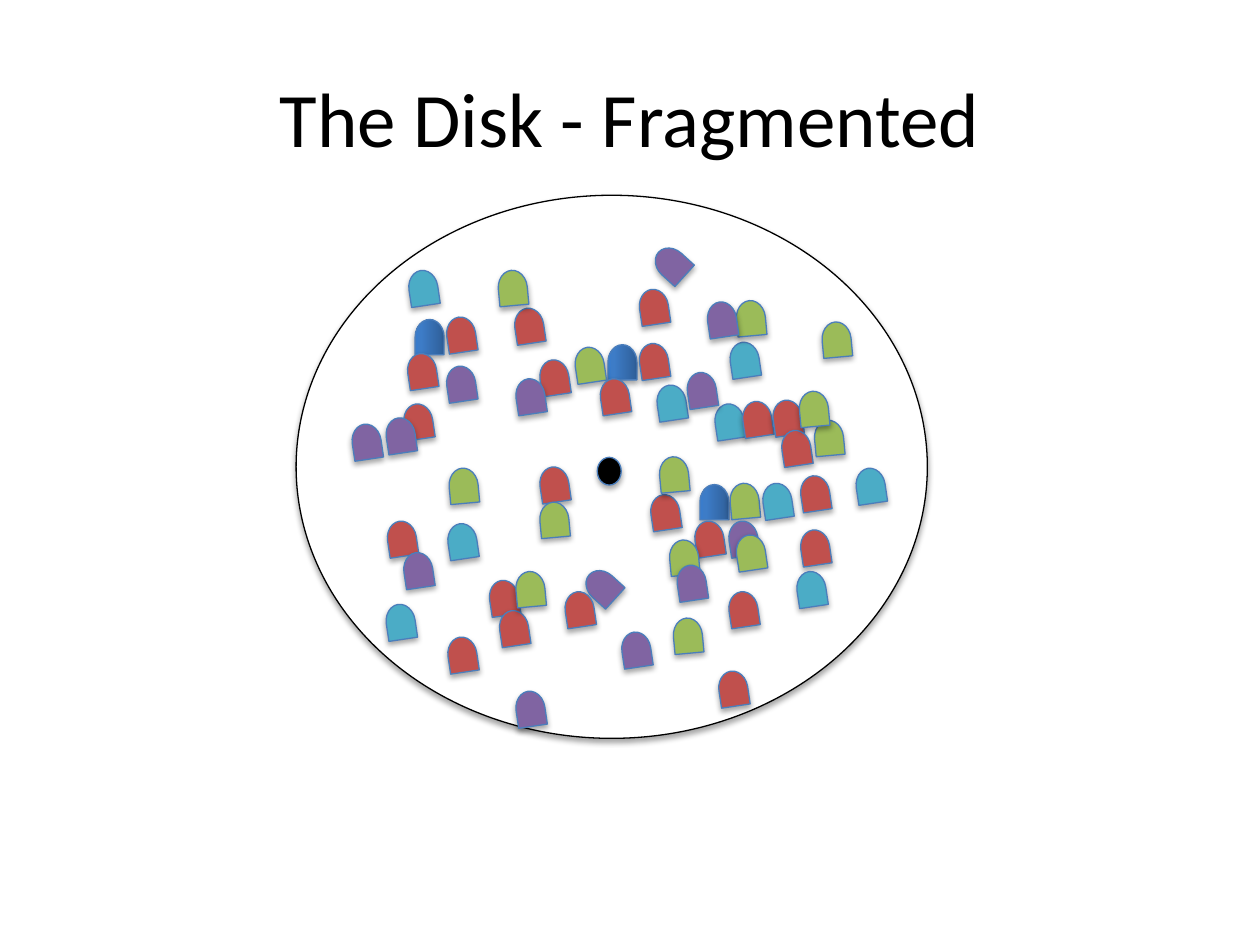
from copy import deepcopy

from lxml.etree import fromstring
from pptx import Presentation
from pptx.dml.color import RGBColor
from pptx.enum.shapes import MSO_SHAPE
from pptx.enum.text import MSO_ANCHOR, PP_ALIGN
from pptx.oxml.ns import nsdecls, qn
from pptx.util import Inches, Pt

COLORS = {
    "black": "000000", "white": "FFFFFF", "edge": "4B7EBC",
    "red": "C0504D", "green": "9BBB59", "purple": "8064A2", "aqua": "4BACC6",
}
BLUE_STOPS = [(0, "2F5F99"), (0.8, "3D7CC7"), (1, "3A7CCB")]
SHADOW = (
    f'<a:outerShdw {nsdecls("a")} blurRad="40000" dist="23000" dir="5400000" rotWithShape="0">'
    '<a:srgbClr val="000000"><a:alpha val="35000"/></a:srgbClr></a:outerShdw>'
)
BLOCK_SIZE = (0.28, 0.23)
TILT, GREEN_TILT, TURNED = 261.5, 264.7, 222.3
BLOCKS = [
    ("blue", 270, [(4.8, 2.76), (5.53, 3.87)]),
    ("green", TILT, [(4.54, 2.78)]),
    ("green", GREEN_TILT, [(5.77, 3.86)]),
    ("purple", TURNED, [(5.19, 1.98)]),
    ("purple", TILT, [(4.91, 5.04)]),
    ("aqua", TILT, [(5.65, 3.23)]),
    ("red", TILT, [(3.53, 5.08), (3.86, 4.63), (3.94, 4.87), (4.06, 2.47),
                   (5.05, 2.32), (4.26, 3.73), (5.76, 4.72)]),
    ("green", GREEN_TILT, [(5.32, 4.93), (3.54, 3.74)]),
    ("aqua", TILT, [(6.03, 3.86)]),
    ("red", TILT, [(3.18, 3.23), (4.26, 2.88), (4.74, 3.03), (5.49, 4.16),
                   (5.05, 2.75), (3.05, 4.16)]),
    ("green", GREEN_TILT, [(4.26, 4.01), (5.29, 4.31), (4.07, 4.56), (3.93, 2.17)]),
    ("aqua", TILT, [(3.04, 4.82), (3.53, 4.18), (5.19, 3.08)]),
    ("purple", TILT, [(4.07, 5.51), (5.76, 4.16), (4.07, 3.03), (3.04, 3.34), (3.18, 4.41)]),
    ("red", TILT, [(5.87, 3.21), (6.11, 3.2), (6.18, 3.44)]),
    ("green", GREEN_TILT, [(6.5, 2.58), (6.44, 3.36), (6.32, 3.13)]),
    ("aqua", TILT, [(5.77, 2.74)]),
    ("purple", TILT, [(5.43, 2.98)]),
    ("green", TILT, [(5.82, 4.27)]),
    ("purple", TURNED, [(4.64, 4.54)]),
    ("red", TILT, [(5.14, 3.95), (6.33, 3.8), (4.46, 4.72), (5.68, 5.35), (6.33, 4.23)]),
    ("green", GREEN_TILT, [(5.21, 3.65)]),
    ("aqua", TILT, [(6.3, 4.56), (6.77, 3.74)]),
    ("purple", TILT, [(5.35, 4.51), (3.52, 2.93), (2.77, 3.39)]),
    ("green", GREEN_TILT, [(5.82, 2.41)]),
    ("purple", TILT, [(5.59, 2.42)]),
    ("aqua", TILT, [(3.22, 2.17)]),
    ("blue", 270, [(3.27, 2.56)]),
    ("red", TILT, [(3.21, 2.83), (3.52, 2.54)]),
]


def write_text(tf, text, size=18, color="black", font="Calibri", align=PP_ALIGN.CENTER):
    p = tf.paragraphs[0]
    p.alignment = align
    r = p.add_run()
    r.text = text
    r.font.size = Pt(size)
    r.font.name = font
    r.font.color.rgb = RGBColor.from_string(COLORS[color])


class DiskSlide:
    """Hold the drawing style and the current slide."""

    def __init__(self, prs):
        self.s = prs.slides.add_slide(prs.slide_layouts[6])

    def title(self, text, x, y, w, h):
        tf = self.s.shapes.add_textbox(Inches(x), Inches(y), Inches(w), Inches(h)).text_frame
        tf.word_wrap = True
        tf.vertical_anchor = MSO_ANCHOR.MIDDLE
        write_text(tf, text, size=44)

    def shape(self, kind, x, y, w, h, fill, line="edge", rotation=0):
        sp = self.s.shapes.add_shape(kind, Inches(x), Inches(y), Inches(w), Inches(h))
        sp.rotation = rotation
        if fill == "blue":
            self.blue_gradient(sp)
        else:
            sp.fill.solid()
            sp.fill.fore_color.rgb = RGBColor.from_string(COLORS[fill])
        sp.line.color.rgb = RGBColor.from_string(COLORS[line])
        sp.line.width = Pt(0.75)
        sp.shadow.inherit = False
        sp._element.spPr.find(qn("a:effectLst")).append(fromstring(SHADOW))

    def blue_gradient(self, sp):
        sp.fill.gradient()
        sp.fill.gradient_angle = 90
        stops = sp._element.spPr.find(".//" + qn("a:gsLst"))
        stops.insert(1, deepcopy(stops[0]))
        for stop, (position, color) in zip(sp.fill.gradient_stops, BLUE_STOPS):
            stop.position = position
            stop.color.rgb = RGBColor.from_string(color)

    def ellipse(self, x, y, w, h, fill, line="edge"):
        self.shape(MSO_SHAPE.OVAL, x, y, w, h, fill, line)

    def block(self, x, y, fill, rotation):
        self.shape(MSO_SHAPE.FLOWCHART_DELAY, x, y, *BLOCK_SIZE, fill, rotation=rotation)


def main():
    prs = Presentation()
    prs.slide_width, prs.slide_height = Inches(10), Inches(7.5)
    disk = DiskSlide(prs)
    disk.ellipse(2.35, 1.55, 5.01, 4.31, "white", line="black")
    disk.title("The Disk - Fragmented", 0.5, 0.3, 9, 1.25)
    disk.ellipse(4.74, 3.63, 0.19, 0.22, "black")
    for color, rotation, places in BLOCKS:
        for x, y in places:
            disk.block(x, y, color, rotation)
    prs.save("out.pptx")


if __name__ == "__main__":
    main()
